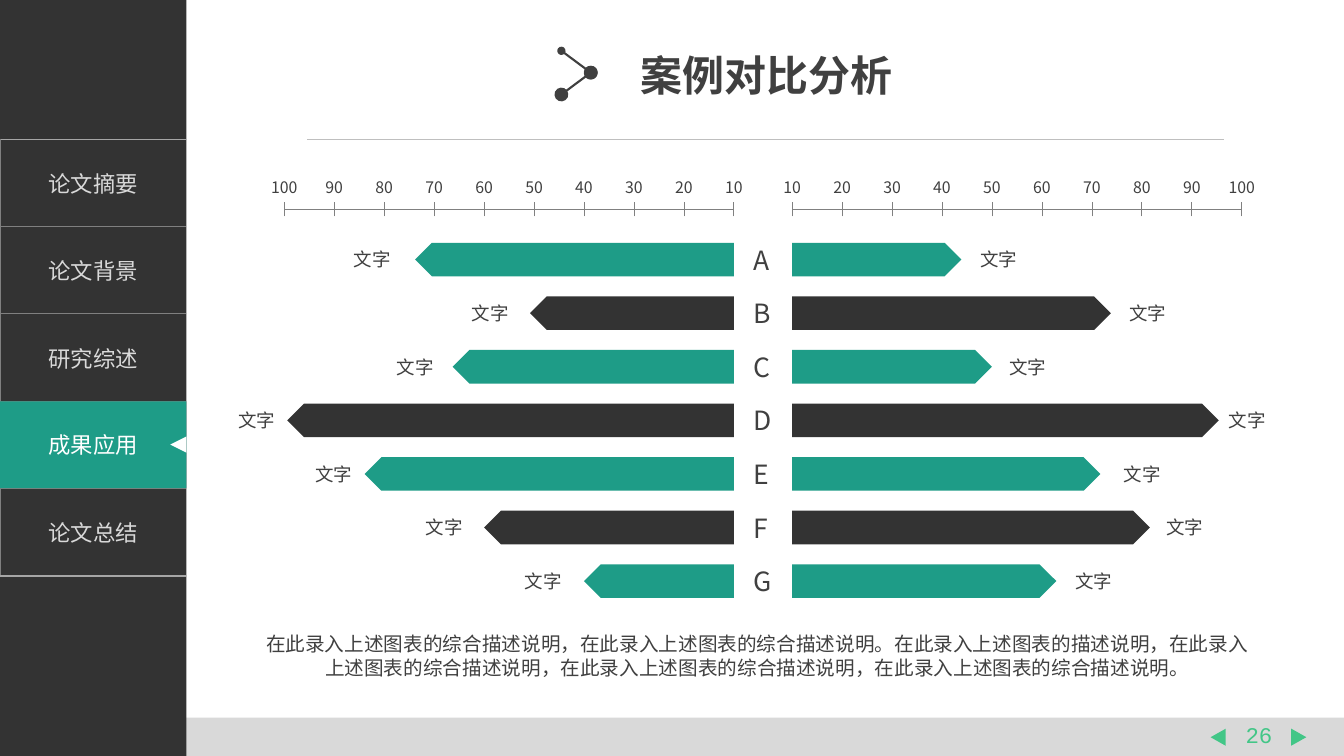
from lxml import etree
from pptx import Presentation
from pptx.dml.color import RGBColor
from pptx.enum.shapes import MSO_CONNECTOR, MSO_SHAPE
from pptx.enum.text import MSO_ANCHOR, MSO_AUTO_SIZE, PP_ALIGN
from pptx.oxml.ns import qn
from pptx.util import Pt

GREEN = RGBColor(0x1E, 0x9C, 0x87)
BRIGHT = RGBColor(0x42, 0xC6, 0x87)
DARK = RGBColor(0x33, 0x33, 0x33)
INK = RGBColor(0x40, 0x40, 0x40)
GREY = RGBColor(0x80, 0x80, 0x80)
SILVER = RGBColor(0xA6, 0xA6, 0xA6)
RULE = RGBColor(0xBF, 0xBF, 0xBF)
PALE = RGBColor(0xD9, 0xD9, 0xD9)
WHITE = RGBColor(0xFF, 0xFF, 0xFF)

SANS = "Noto Sans CJK SC"
CHAPTERS = ["论文摘要", "论文背景", "研究综述", "成果应用", "论文总结"]
CURRENT = 3
STEP = 35.69  # points per ten units on the scales
ROW_STEP = 38.28
BAR_HEIGHT = 24
CASES = "ABCDEFG"
# Value on the scale, and gap between the bar tip and its label
LEFT_BARS = [(73.8, 10), (50.8, 8), (66.3, 6), (99.4, 1.4), (83.9, 1.4), (60, 8), (40, 8.6)]
RIGHT_BARS = [(43.9, 6), (73.8, 6), (50, 5), (95.4, 0), (71.7, 9.5), (81.6, 4.5), (62.9, 6)]
SUMMARY = ("在此录入上述图表的综合描述说明，在此录入上述图表的综合描述说明。"
           "在此录入上述图表的描述说明，在此录入上述图表的综合描述说明，"
           "在此录入上述图表的综合描述说明，在此录入上述图表的综合描述说明。")


def write(frame, text, size, color, align=PP_ALIGN.CENTER, font=SANS, bold=False):
    frame.text = text
    para = frame.paragraphs[0]
    para.alignment = align
    span = para.runs[0]
    span.font.size = Pt(size)
    span.font.name = font
    span.font.bold = bold
    span.font.color.rgb = color
    east_asian = etree.SubElement(span.font._element, qn("a:ea"))
    east_asian.set("typeface", SANS)
    return para


def add_text(page, left, top, width, height, text, size, color=INK, wrap=False, **style):
    box = page.shapes.add_textbox(Pt(left), Pt(top), Pt(width), Pt(height))
    box.text_frame.word_wrap = wrap
    box.text_frame.vertical_anchor = MSO_ANCHOR.MIDDLE
    return write(box.text_frame, text, size, color, **style)


def add_block(page, kind, left, top, width, height, color, rotation=0):
    block = page.shapes.add_shape(kind, Pt(left), Pt(top), Pt(width), Pt(height))
    block.shadow.inherit = False
    block.fill.solid()
    block.fill.fore_color.rgb = color
    block.line.fill.background()
    block.rotation = rotation
    return block


def add_line(page, start, end, color, weight, head=None, tail=None):
    line = page.shapes.add_connector(MSO_CONNECTOR.STRAIGHT, *map(Pt, start + end))
    line.line.color.rgb = color
    line.line.width = Pt(weight)
    for tag, size in (("a:headEnd", head), ("a:tailEnd", tail)):
        if size:
            dot = etree.SubElement(line.line._get_or_add_ln(), qn(tag))
            dot.attrib.update({"type": "oval", "w": size, "len": size})
    etree.SubElement(line._element.spPr, qn("a:effectLst"))


def set_borders(cell, top, bottom):
    properties = cell._tc.get_or_add_tcPr()
    sides = [("a:lnL", GREY), ("a:lnR", None), ("a:lnT", top), ("a:lnB", bottom)]
    for position, (tag, color) in enumerate(sides):
        border = etree.Element(qn(tag), w=str(Pt(1)))
        if color is None:
            etree.SubElement(border, qn("a:noFill"))
        else:
            fill = etree.SubElement(border, qn("a:solidFill"))
            etree.SubElement(fill, qn("a:srgbClr"), val=str(color))
        properties.insert(position, border)


def build_footer(page, left, top, width, height):
    add_block(page, MSO_SHAPE.RECTANGLE, left, top, width, height, PALE)
    add_text(page, 882, top - 1, 34.6, 26.6, "26", 16, BRIGHT, font="Courier New")
    for arrow_left, rotation in ((864, 270), (921.6, 90)):
        add_block(page, MSO_SHAPE.ISOSCELES_TRIANGLE, arrow_left, top + 8.6, 12.2, 10.8,
                  BRIGHT, rotation)


def build_sidebar(page, left, top, width, height):
    add_block(page, MSO_SHAPE.RECTANGLE, left, top, width, height, DARK)
    # Chapter list
    menu_top, row_height = top + 99.4, 62.4
    last = len(CHAPTERS) - 1
    menu = page.shapes.add_table(len(CHAPTERS), 1, Pt(left), Pt(menu_top), Pt(width),
                                 Pt(row_height * len(CHAPTERS))).table
    menu.first_row = menu.horz_banding = False
    for index, chapter in enumerate(CHAPTERS):
        menu.rows[index].height = Pt(row_height)
        cell = menu.cell(index, 0)
        cell.fill.background()
        cell.vertical_anchor = MSO_ANCHOR.MIDDLE
        write(cell.text_frame, chapter, 16, PALE)
        set_borders(cell, SILVER if index == 0 else GREY, SILVER if index == last else GREY)
    # Highlighted chapter
    current_top = menu_top + CURRENT * row_height
    marker = add_block(page, MSO_SHAPE.RECTANGLE, left, current_top, width, 62, GREEN)
    marker.text_frame.vertical_anchor = MSO_ANCHOR.MIDDLE
    write(marker.text_frame, CHAPTERS[CURRENT], 16, WHITE)
    add_block(page, MSO_SHAPE.ISOSCELES_TRIANGLE, left + width - 11.5, current_top + 25.2,
              11.5, 11.5, WHITE, 270)


def build_heading(page, left, top, width, height):
    title = page.shapes.title
    title.left, title.top, title.width, title.height = map(Pt, (left, top, width, height))
    title.text_frame.auto_size = MSO_AUTO_SIZE.NONE
    title.text_frame.word_wrap = False
    title.text_frame.vertical_anchor = MSO_ANCHOR.MIDDLE
    write(title.text_frame, "案例对比分析", 30, INK, PP_ALIGN.LEFT, "Arial", True)
    # Dotted chevron and rule
    tip = (left - 28, top + 20.2)
    add_line(page, (left - 49, top + 4.6), tip, INK, 1.5, "med", "lg")
    add_line(page, tip, (left - 49, top + 35.8), INK, 1.5, "lg", "lg")
    add_line(page, (219.6, 99.8), (874, 99.8), RULE, 0.5)


def build_side(page, base, top, direction, bars):
    """Draw one scale and its bars, growing from base; direction is -1 left, 1 right."""
    axis_top = top + 26.2
    add_line(page, (base, axis_top), (base + direction * 9 * STEP, axis_top), GREY, 0.5)
    for tick in range(10):
        center = base + direction * tick * STEP
        add_line(page, (center, axis_top + 5.3), (center, axis_top - 5.3), GREY, 0.5)
        add_text(page, center - 17, top, 34, 21, str(10 * (tick + 1)), 11.3)
    label_width = 41
    for index, (value, gap) in enumerate(bars):
        length = (value - 10) / 10 * STEP
        bar_top = top + 50.3 + index * ROW_STEP
        bar_left = base if direction > 0 else base - length
        label_left = base + length + gap if direction > 0 else bar_left - gap - label_width
        add_block(page, MSO_SHAPE.PENTAGON, bar_left, bar_top, length, BAR_HEIGHT,
                  DARK if index % 2 else GREEN, 0 if direction > 0 else 180)
        add_text(page, label_left, bar_top, label_width, BAR_HEIGHT, "文字", 13.2)


def build_comparison(page, left, top, width):
    build_side(page, left + 9 * STEP, top, -1, LEFT_BARS)
    build_side(page, left + width - 9 * STEP, top, 1, RIGHT_BARS)
    # Case letters between the two sides
    for index, case in enumerate(CASES):
        add_text(page, left + 9 * STEP + 6.8, top + 50.3 + index * ROW_STEP, 28, BAR_HEIGHT,
                 case, 18.9, align=PP_ALIGN.LEFT)


def build_slide(deck):
    page = deck.slides.add_slide(deck.slide_layouts[5])
    build_footer(page, 0, 512.6, 960, 27.4)
    build_sidebar(page, 0, 0, 133.2, 540)
    build_heading(page, 450, 31.7, 196.6, 44)
    build_comparison(page, 203, 123.1, 684)
    add_text(page, 178.6, 444.2, 725, 48.2, SUMMARY, 14, wrap=True)


def main():
    deck = Presentation()
    deck.slide_width, deck.slide_height = Pt(960), Pt(540)
    build_slide(deck)
    deck.save("out.pptx")


if __name__ == "__main__":
    main()
